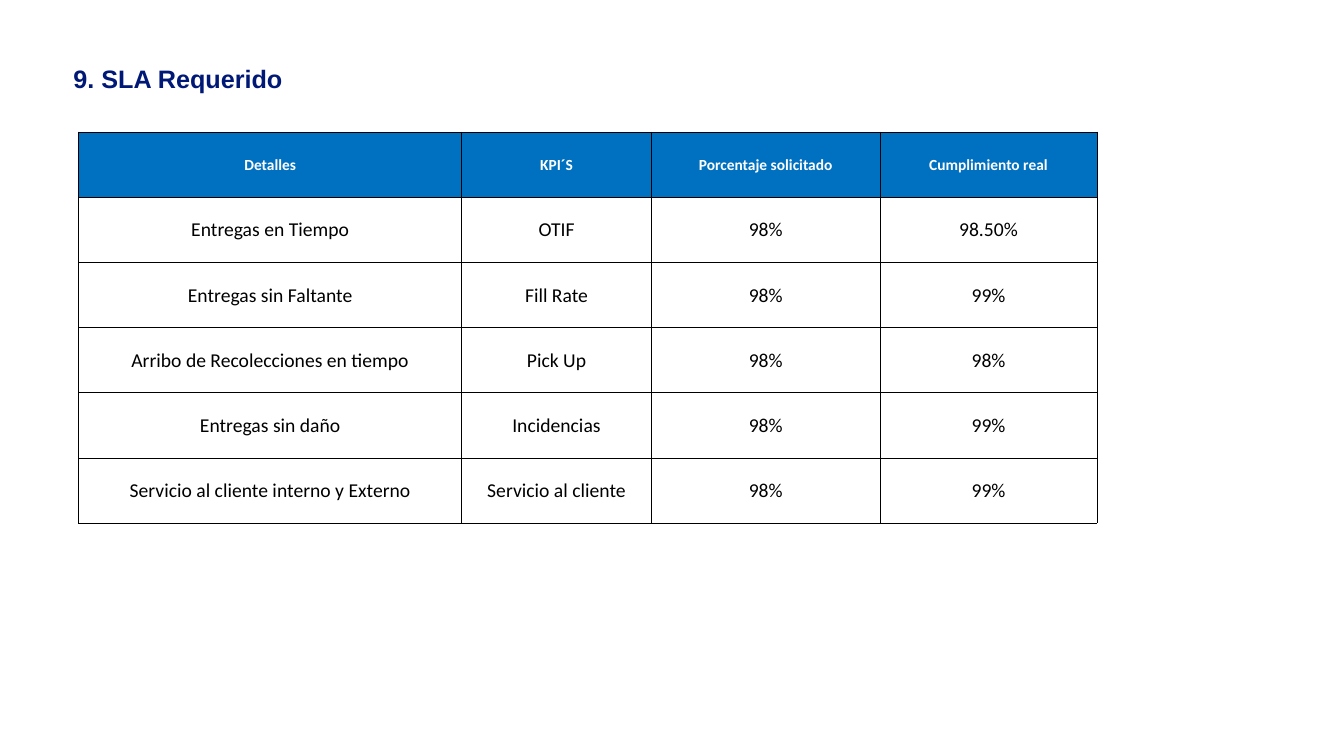
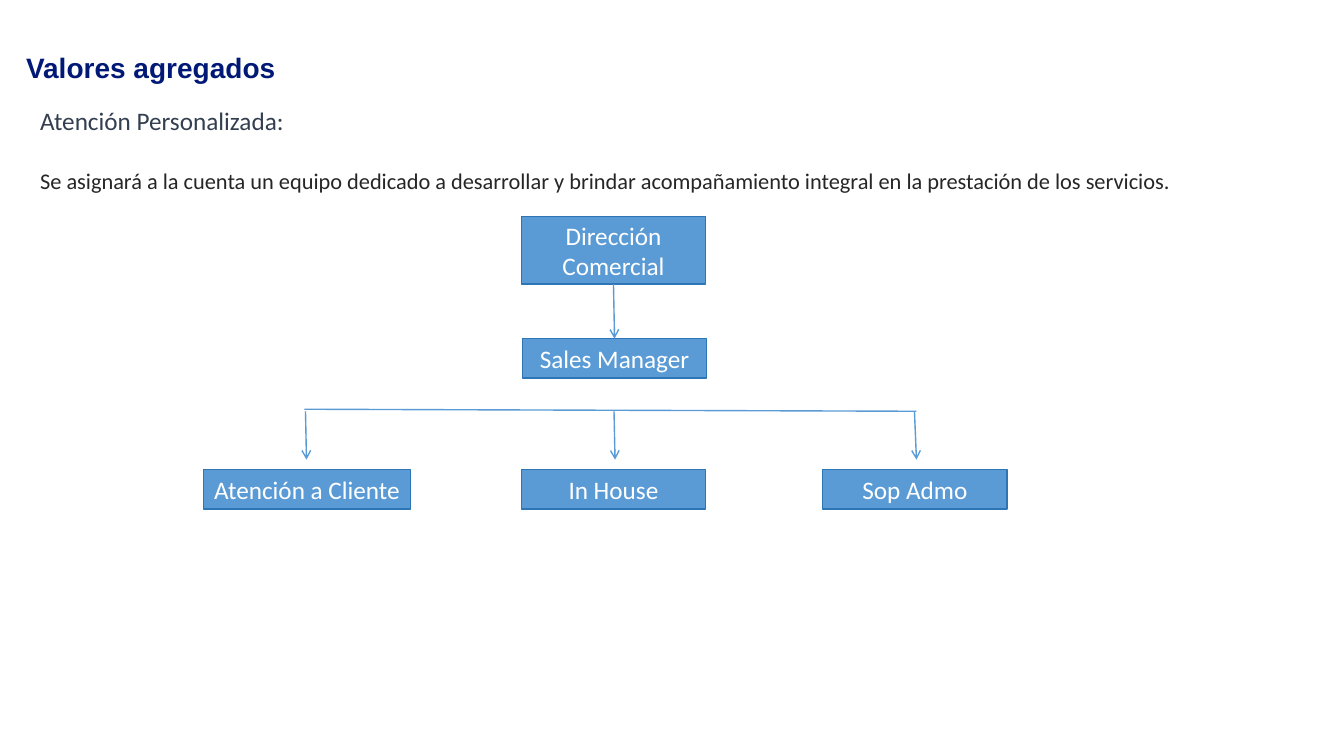
from lxml.etree import SubElement
from pptx import Presentation
from pptx.dml.color import RGBColor
from pptx.enum.shapes import MSO_CONNECTOR, MSO_SHAPE
from pptx.enum.text import MSO_ANCHOR, PP_ALIGN
from pptx.oxml.ns import qn
from pptx.util import Inches, Pt

COLORS = {
    "title": "001876",
    "header": "0070C0",
    "white": "FFFFFF",
    "black": "000000",
    "subtitle": "333F50",
    "body": "262626",
    "box": "5B9BD5",
    "box_line": "2E75B6",
}

SLA_TITLE = "9. SLA Requerido"
SLA_ROWS = [
    ("Detalles", "KPI´S", "Porcentaje solicitado", "Cumplimiento real"),
    ("Entregas en Tiempo", "OTIF", "98%", "98.50%"),
    ("Entregas sin Faltante", "Fill Rate", "98%", "99%"),
    ("Arribo de Recolecciones en tiempo", "Pick Up", "98%", "98%"),
    ("Entregas sin daño", "Incidencias", "98%", "99%"),
    ("Servicio al cliente interno y Externo", "Servicio al cliente", "98%", "99%"),
]
COLUMN_WIDTHS = [3.8, 1.88, 2.27, 2.15]
TABLE_HEIGHT = 3.88

VALUES_TITLE = "Valores agregados"
VALUES_TEXT = [
    ("Atención Personalizada:", 18, "subtitle", 0),
    ("Se asignará a la cuenta un equipo dedicado a desarrollar y brindar "
     "acompañamiento integral en la prestación de los servicios.", 16, "body", 22),
]
DIRECTOR = ("Dirección Comercial", 5.17, 2.15, 1.83, 0.67)
MANAGER = ("Sales Manager", 5.18, 3.36, 1.83, 0.39)
TEAM = [("Atención a Cliente", 2.02, 2.05), ("In House", 5.17, 1.83), ("Sop Admo", 8.16, 1.83)]
TEAM_TOP, TEAM_HEIGHT = 4.66, 0.39
BRANCH = (3.02, 4.06, 9.09, 4.08)
BRANCH_ARROWS = [(3.03, 3.04), (6.09, 6.1), (9.07, 9.09)]
ARROW_TOP, ARROW_BOTTOM = 4.08, 4.56


def color(name):
    return RGBColor.from_string(COLORS[name])


def style_text(para, size, color_name, font="Calibri", bold=False):
    for span in para.runs:
        span.font.name = font
        span.font.size = Pt(size)
        span.font.bold = bold
        span.font.color.rgb = color(color_name)


def add_text_box(page, left, top, width, height):
    box = page.shapes.add_textbox(Inches(left), Inches(top), Inches(width), Inches(height))
    box.text_frame.word_wrap = True
    return box.text_frame


def add_title(page, text, left, top, size):
    frame = add_text_box(page, left, top, 4, 0.5)
    frame.vertical_anchor = MSO_ANCHOR.MIDDLE
    frame.text = text
    style_text(frame.paragraphs[0], size, "title", "Arial", True)


def set_borders(cell):
    properties = cell._tc.get_or_add_tcPr()
    for side in ("lnL", "lnR", "lnT", "lnB"):
        line = SubElement(properties, qn(f"a:{side}"), w=str(Pt(0.5)))
        fill = SubElement(line, qn("a:solidFill"))
        SubElement(fill, qn("a:srgbClr"), val=COLORS["black"])


def style_cell(cell, text, is_header):
    set_borders(cell)
    if is_header:
        cell.fill.solid()
        cell.fill.fore_color.rgb = color("header")
    else:
        cell.fill.background()
    cell.margin_left = cell.margin_right = cell.margin_top = Inches(0.01)
    cell.margin_bottom = 0
    cell.vertical_anchor = MSO_ANCHOR.MIDDLE
    cell.text_frame.text = text
    para = cell.text_frame.paragraphs[0]
    para.alignment = PP_ALIGN.CENTER
    style_text(para, 11 if is_header else 14, "white" if is_header else "black", bold=is_header)


def add_sla_table(page):
    table = page.shapes.add_table(
        len(SLA_ROWS), len(COLUMN_WIDTHS), Inches(0.78), Inches(1.31),
        Inches(sum(COLUMN_WIDTHS)), Inches(TABLE_HEIGHT)).table
    table.first_row = table.horz_banding = False
    for column, width in zip(table.columns, COLUMN_WIDTHS):
        column.width = Inches(width)
    for row_index, texts in enumerate(SLA_ROWS):
        table.rows[row_index].height = Inches(TABLE_HEIGHT / len(SLA_ROWS))
        for column_index, text in enumerate(texts):
            style_cell(table.cell(row_index, column_index), text, row_index == 0)


def add_role(page, text, left, top, width, height):
    box = page.shapes.add_shape(
        MSO_SHAPE.RECTANGLE, Inches(left), Inches(top), Inches(width), Inches(height))
    box.shadow.inherit = False
    box.fill.solid()
    box.fill.fore_color.rgb = color("box")
    box.line.color.rgb = color("box_line")
    box.line.width = Pt(1)
    frame = box.text_frame
    frame.word_wrap = True
    frame.margin_left = frame.margin_right = Inches(0.05)
    frame.vertical_anchor = MSO_ANCHOR.MIDDLE
    frame.text = text
    frame.paragraphs[0].alignment = PP_ALIGN.CENTER
    style_text(frame.paragraphs[0], 18, "white")
    return box


def add_line(page, x1, y1, x2, y2, arrow=True):
    line = page.shapes.add_connector(
        MSO_CONNECTOR.STRAIGHT, Inches(x1), Inches(y1), Inches(x2), Inches(y2))
    line.line.color.rgb = color("box")
    line.line.width = Pt(1)
    properties = line._element.spPr
    if arrow:
        SubElement(properties.find(qn("a:ln")), qn("a:tailEnd"), type="arrow")
    SubElement(properties, qn("a:effectLst"))
    return line


def build_sla(page):
    add_title(page, SLA_TITLE, 0.63, 0.53, 18)
    add_sla_table(page)


def build_values(page):
    add_title(page, VALUES_TITLE, 0.16, 0.42, 20)
    frame = add_text_box(page, 0.3, 1, 11.56, 1.1)
    for index, (text, size, color_name, space) in enumerate(VALUES_TEXT):
        para = frame.add_paragraph() if index else frame.paragraphs[0]
        para.text = text
        para.space_before = Pt(space)
        style_text(para, size, color_name)
    director = add_role(page, *DIRECTOR)
    manager = add_role(page, *MANAGER)
    link = add_line(page, 6.08, 2.82, 6.09, 3.36)
    link.begin_connect(director, 2)
    link.end_connect(manager, 0)
    for text, left, width in TEAM:
        add_role(page, text, left, TEAM_TOP, width, TEAM_HEIGHT)
    for start, end in BRANCH_ARROWS:
        add_line(page, start, ARROW_TOP, end, ARROW_BOTTOM)
    add_line(page, *BRANCH, arrow=False)


def main():
    deck = Presentation()
    deck.slide_width = Inches(13.33)
    deck.slide_height = Inches(7.5)
    for build in (build_sla, build_values):
        build(deck.slides.add_slide(deck.slide_layouts[6]))
    deck.save("out.pptx")


if __name__ == "__main__":
    main()
